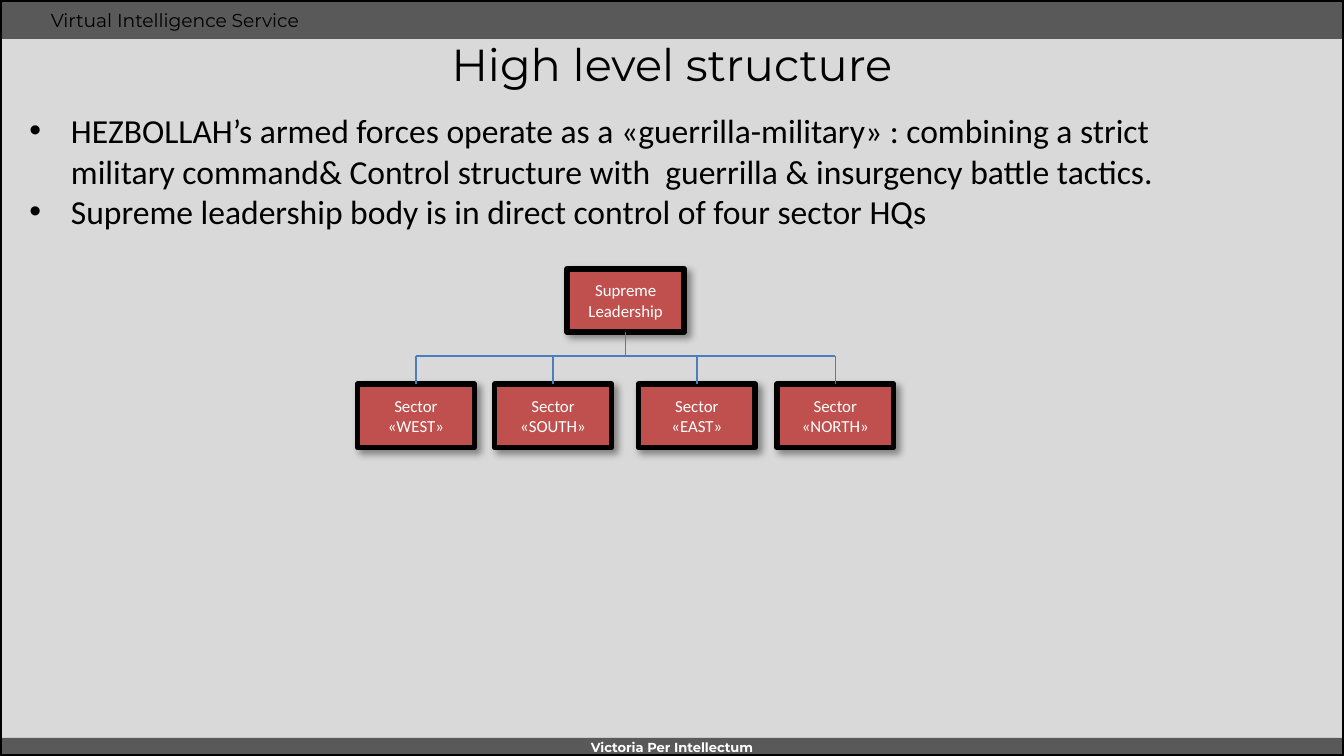
from dataclasses import dataclass

from lxml import etree
from pptx import Presentation
from pptx.dml.color import RGBColor
from pptx.enum.shapes import MSO_CONNECTOR, MSO_SHAPE
from pptx.enum.text import MSO_ANCHOR, PP_ALIGN
from pptx.oxml.ns import qn
from pptx.util import Inches, Pt

RECT = MSO_SHAPE.RECTANGLE
LINE = MSO_CONNECTOR.STRAIGHT
LEFT, CENTER = PP_ALIGN.LEFT, PP_ALIGN.CENTER
TOP, MIDDLE = MSO_ANCHOR.TOP, MSO_ANCHOR.MIDDLE


@dataclass(frozen=True)
class Theme:
    back: str = "D9D9D9"
    bar: str = "595959"
    dark: str = "000000"
    light: str = "FFFFFF"
    box: str = "C0504D"
    link: str = "4B7EBC"
    head: str = "Montserrat"
    body: str = "Calibri"
    title: float = 24
    text: float = 18
    label: float = 10
    unit: float = 9
    foot: float = 7


@dataclass(frozen=True)
class Unit:
    name: str
    left: float
    top: float
    width: float = 0.87
    height: float = 0.47

    @property
    def mid(self) -> float:
        return self.left + self.width / 2


THEME = Theme()
WIDTH = 10
HEIGHT = WIDTH * 9 / 16
BASE = 5.49  # top of the bottom bar
RAIL = 2.65  # height of the line that joins the sectors

CHIEF = Unit("Supreme Leadership", 4.22, 2)
SECTORS = [
    Unit(f"Sector «{name}»", left, 2.86)
    for name, left in [("WEST", 2.66), ("SOUTH", 3.68), ("EAST", 4.75), ("NORTH", 5.78)]
]
POINTS = [
    "HEZBOLLAH’s armed forces operate as a «guerrilla-military» : combining a strict "
    "military command& Control structure with  guerrilla & insurgency battle tactics.",
    "Supreme leadership body is in direct control of four sector HQs",
]


def paint(hue: str) -> RGBColor:
    return RGBColor.from_string(hue)


def write(frame, *lines: str, size: float, font: str = THEME.body, color: str = THEME.dark,
          bold: bool = False, align=LEFT, anchor=TOP, inset: bool = True,
          indent: float = 0) -> None:
    """Fill a text frame; an indent gives each line a bullet."""
    frame.word_wrap = True
    frame.vertical_anchor = anchor
    if not inset:
        frame.margin_left = frame.margin_right = frame.margin_top = frame.margin_bottom = 0
    for i, line in enumerate(lines):
        para = frame.paragraphs[0] if i == 0 else frame.add_paragraph()
        para.alignment = align
        run = para.add_run()
        run.text = line
        run.font.size, run.font.name, run.font.bold = Pt(size), font, bold
        run.font.color.rgb = paint(color)
        if indent:
            props = para._p.get_or_add_pPr()
            props.set("marL", str(Inches(indent)))
            props.set("indent", str(-Inches(indent)))
            etree.SubElement(props, qn("a:buFont"), typeface="Arial")
            etree.SubElement(props, qn("a:buChar"), char="•")


def add_text(slide, left: float, top: float, width: float, height: float,
             *lines: str, **style) -> None:
    box = slide.shapes.add_textbox(Inches(left), Inches(top), Inches(width), Inches(height))
    write(box.text_frame, *lines, **style)


def add_rect(slide, left: float, top: float, width: float, height: float,
             fill: str = "", line: float = 0):
    shape = slide.shapes.add_shape(RECT, Inches(left), Inches(top), Inches(width), Inches(height))
    if fill:
        shape.fill.solid()
        shape.fill.fore_color.rgb = paint(fill)
    else:
        shape.fill.background()
    if line:
        shape.line.color.rgb = paint(THEME.dark)
        shape.line.width = Pt(line)
    else:
        shape.line.fill.background()
    shape.shadow.inherit = False
    return shape


def add_unit(slide, unit: Unit) -> None:
    shape = add_rect(slide, unit.left, unit.top, unit.width, unit.height, THEME.box, 3)
    effect = shape._element.spPr.find(qn("a:effectLst"))
    shade = etree.SubElement(effect, qn("a:outerShdw"), blurRad=str(Pt(4)), dist=str(Pt(3)),
                             dir=str(45 * 60000), algn="tl", rotWithShape="0")
    hue = etree.SubElement(shade, qn("a:srgbClr"), val=THEME.dark)
    etree.SubElement(hue, qn("a:alpha"), val="40000")
    write(shape.text_frame, unit.name, size=THEME.unit, color=THEME.light,
          align=CENTER, anchor=MIDDLE)


def add_link(slide, x1: float, y1: float, x2: float, y2: float) -> None:
    link = slide.shapes.add_connector(LINE, Inches(x1), Inches(y1), Inches(x2), Inches(y2))
    link.line.color.rgb = paint(THEME.link)
    link.line.width = Pt(0.75)
    etree.SubElement(link._element.spPr, qn("a:effectLst"))


def main() -> None:
    deck = Presentation()
    deck.slide_width, deck.slide_height = Inches(WIDTH), Inches(HEIGHT)
    slide = deck.slides.add_slide(deck.slide_layouts[6])
    slide.background.fill.solid()
    slide.background.fill.fore_color.rgb = paint(THEME.back)

    # Bars and frame
    add_rect(slide, 0, 0, WIDTH, 0.29, THEME.bar)
    add_rect(slide, 0, BASE, WIDTH, HEIGHT - BASE, THEME.bar)
    add_text(slide, 0.28, 0.02, 6.86, 0.27, "Virtual Intelligence Service",
             size=THEME.label, font=THEME.head)
    add_text(slide, 0, 5.5, WIDTH, 0.12, "Victoria Per Intellectum", size=THEME.foot,
             font=THEME.head, color=THEME.light, bold=True, align=CENTER, inset=False)
    add_rect(slide, 0, 0, WIDTH, HEIGHT, line=2)

    # Title and points
    add_text(slide, 0, 0.32, WIDTH, 0.31, "High level structure", size=THEME.title,
             font=THEME.head, align=CENTER, anchor=MIDDLE)
    add_text(slide, 0.12, 0.77, 9.07, 2.52, *POINTS, size=THEME.text, indent=0.31)

    # Chart of command
    for unit in [CHIEF, *SECTORS]:
        add_unit(slide, unit)
    add_link(slide, CHIEF.mid, CHIEF.top + CHIEF.height, CHIEF.mid, RAIL)
    for unit in SECTORS:
        add_link(slide, unit.mid, RAIL, unit.mid, unit.top)
    add_link(slide, SECTORS[0].mid, RAIL, SECTORS[-1].mid, RAIL)

    deck.save("out.pptx")


if __name__ == "__main__":
    main()
